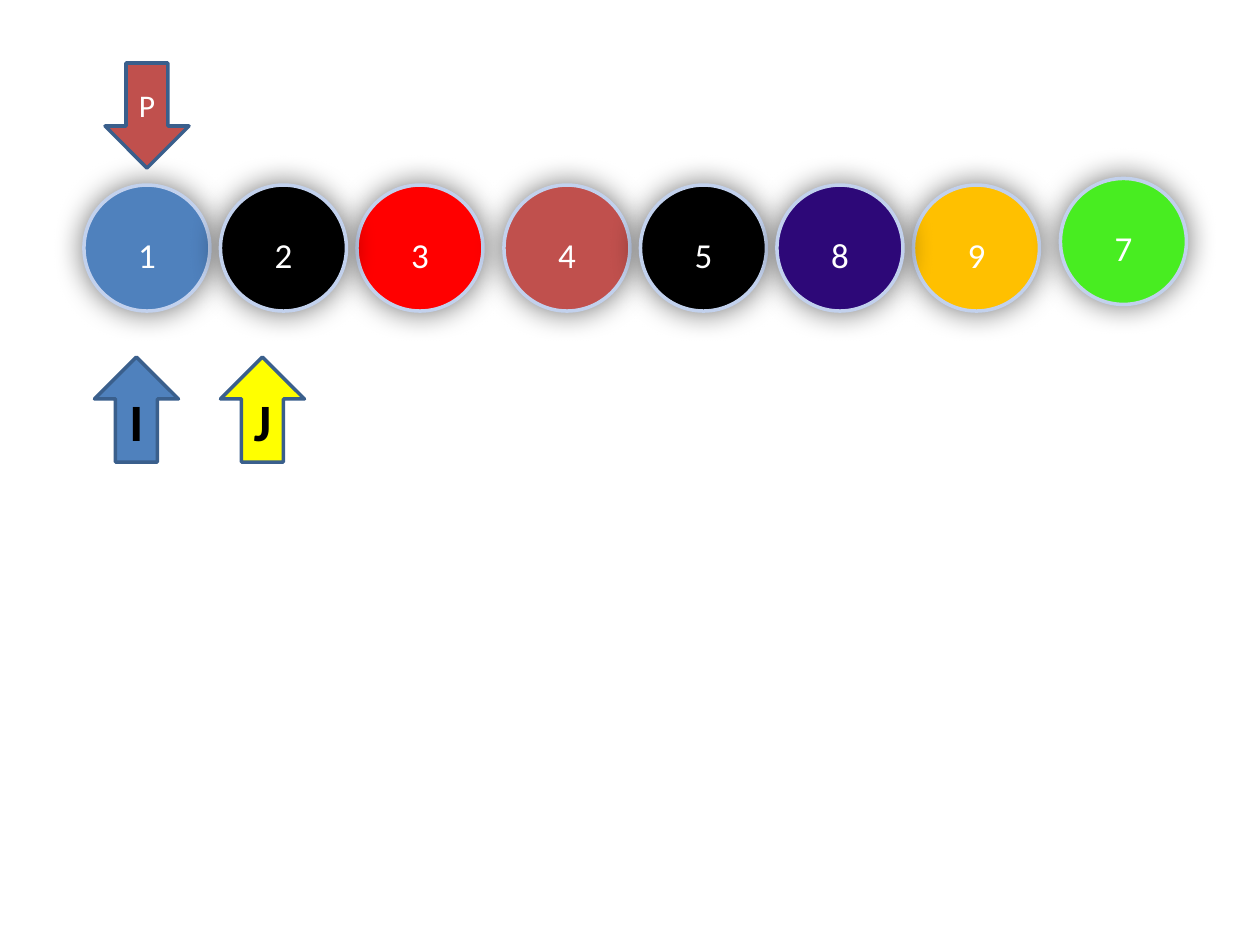
import pptx
import pptx.util
import pptx.dml.color
import pptx.enum.shapes
import pptx.enum.text
import lxml.etree

PX = 9525
FONT = "Calibri"
KINDS = pptx.enum.shapes.MSO_SHAPE
SIZE = 96
ROW_TOP = 141
LEFT, RIGHT, PITCH = 64, 384, 104
HUES = {
    "blue": "4F81BD", "black": "000000", "red": "FF0000", "brick": "C0504D",
    "navy": "2D0878", "gold": "FFC000", "green": "48ED21", "yellow": "FFFF00",
    "white": "FFFFFF", "rim": "C2D1ED", "edge": "3A5F8C",
}
BALLS = [
    ("3", LEFT + 2 * PITCH, ROW_TOP, "red"),
    ("1", LEFT, ROW_TOP, "blue"),
    ("9", RIGHT + 3 * PITCH, ROW_TOP, "gold"),
    ("4", RIGHT, ROW_TOP, "brick"),
    ("2", LEFT + PITCH, ROW_TOP, "black"),
    ("5", RIGHT + PITCH, ROW_TOP, "black"),
    ("7", 808, 136, "green"),
    ("8", RIGHT + 2 * PITCH, ROW_TOP, "navy"),
]


def tint(name):
    return pptx.dml.color.RGBColor.from_string(HUES[name])


def glow(shape):
    space = pptx.oxml.ns.nsdecls("a")
    shape.shadow.inherit = False
    effects = shape._element.spPr.find(pptx.oxml.ns.qn("a:effectLst"))
    effects.append(pptx.oxml.parse_xml(
        f'<a:outerShdw {space} blurRad="215900" dist="0" dir="0" '
        f'algn="ctr" rotWithShape="0"><a:srgbClr val="{HUES["black"]}">'
        '<a:alpha val="55000"/></a:srgbClr></a:outerShdw>'))


def draw(slide, kind, box, fill, line):
    shape = slide.shapes.add_shape(kind, *(n * PX for n in box))
    shape.shadow.inherit = False
    shape.fill.solid()
    shape.fill.fore_color.rgb = tint(fill)
    shape.line.color.rgb = tint(line)
    shape.line.width = pptx.util.Pt(2)
    return shape


def write(shape, text, size, hue, bold=False):
    frame = shape.text_frame
    frame.word_wrap = True
    frame.vertical_anchor = pptx.enum.text.MSO_ANCHOR.MIDDLE
    para = frame.paragraphs[0]
    para.alignment = pptx.enum.text.PP_ALIGN.CENTER
    run = para.add_run()
    run.text = text
    run.font.name = FONT
    run.font.size = pptx.util.Pt(size)
    run.font.bold = bold
    run.font.color.rgb = tint(hue)


def ball(slide, text, left, top, fill):
    shape = draw(slide, KINDS.OVAL, (left, top, SIZE, SIZE), fill, "rim")
    glow(shape)
    write(shape, text, 20, "white")
    shape.text_frame.margin_top = 14 * PX


def arrow(slide, kind, text, left, top, fill, size, hue, bold):
    shape = draw(slide, kind, (left, top, 64, 80), fill, "edge")
    write(shape, text, size, hue, bold)


def main():
    deck = pptx.Presentation()
    deck.slide_width = 960 * PX
    deck.slide_height = 720 * PX
    slide = deck.slides.add_slide(deck.slide_layouts[6])
    for item in BALLS:
        ball(slide, *item)
    arrow(slide, KINDS.DOWN_ARROW, "P", 80, 48, "brick", 18, "white", False)
    for text, left, fill in [("I", 72, "blue"), ("J", 168, "yellow")]:
        arrow(slide, KINDS.UP_ARROW, text, left, 272, fill, 30, "black", True)
    deck.save("out.pptx")


if __name__ == "__main__":
    main()
